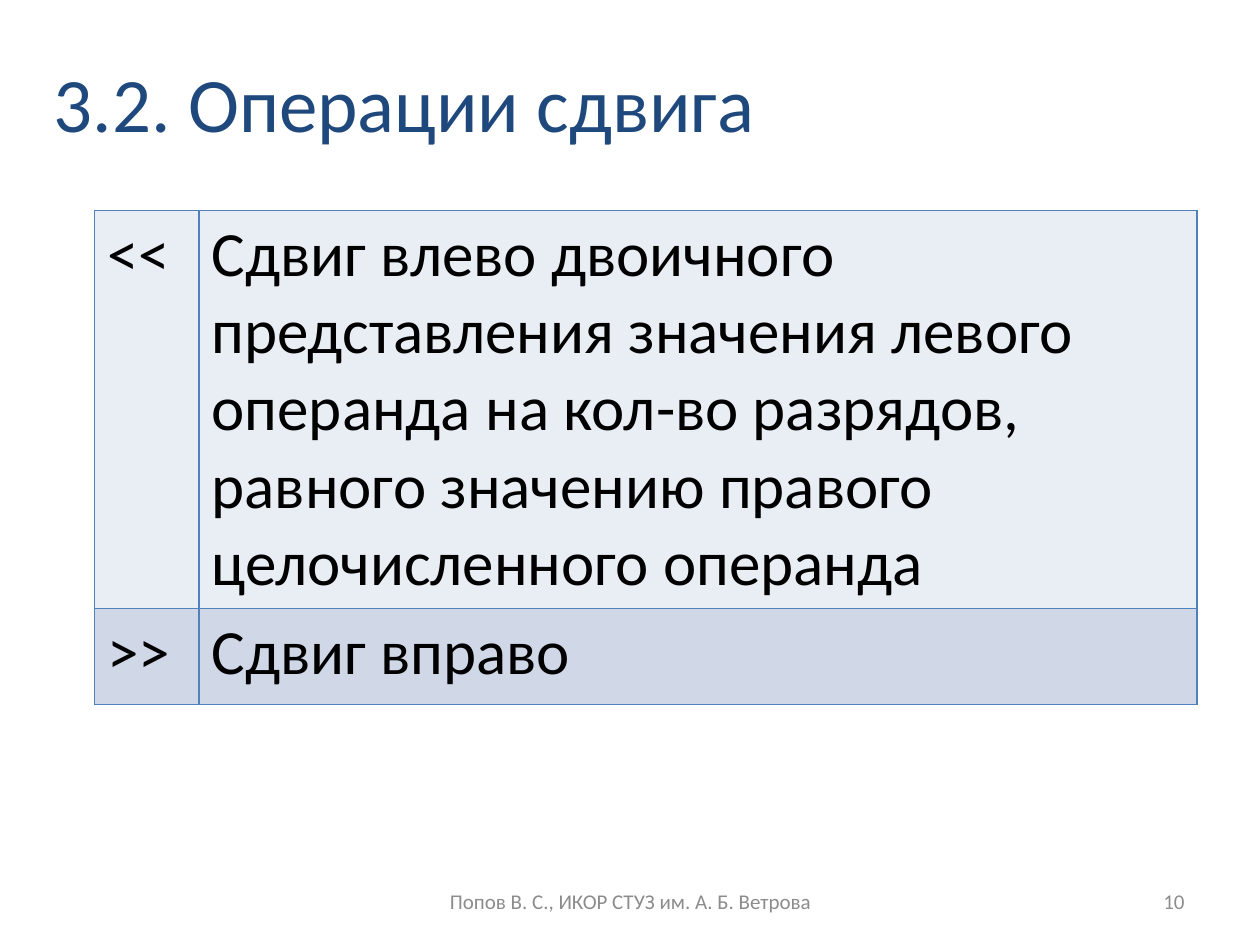
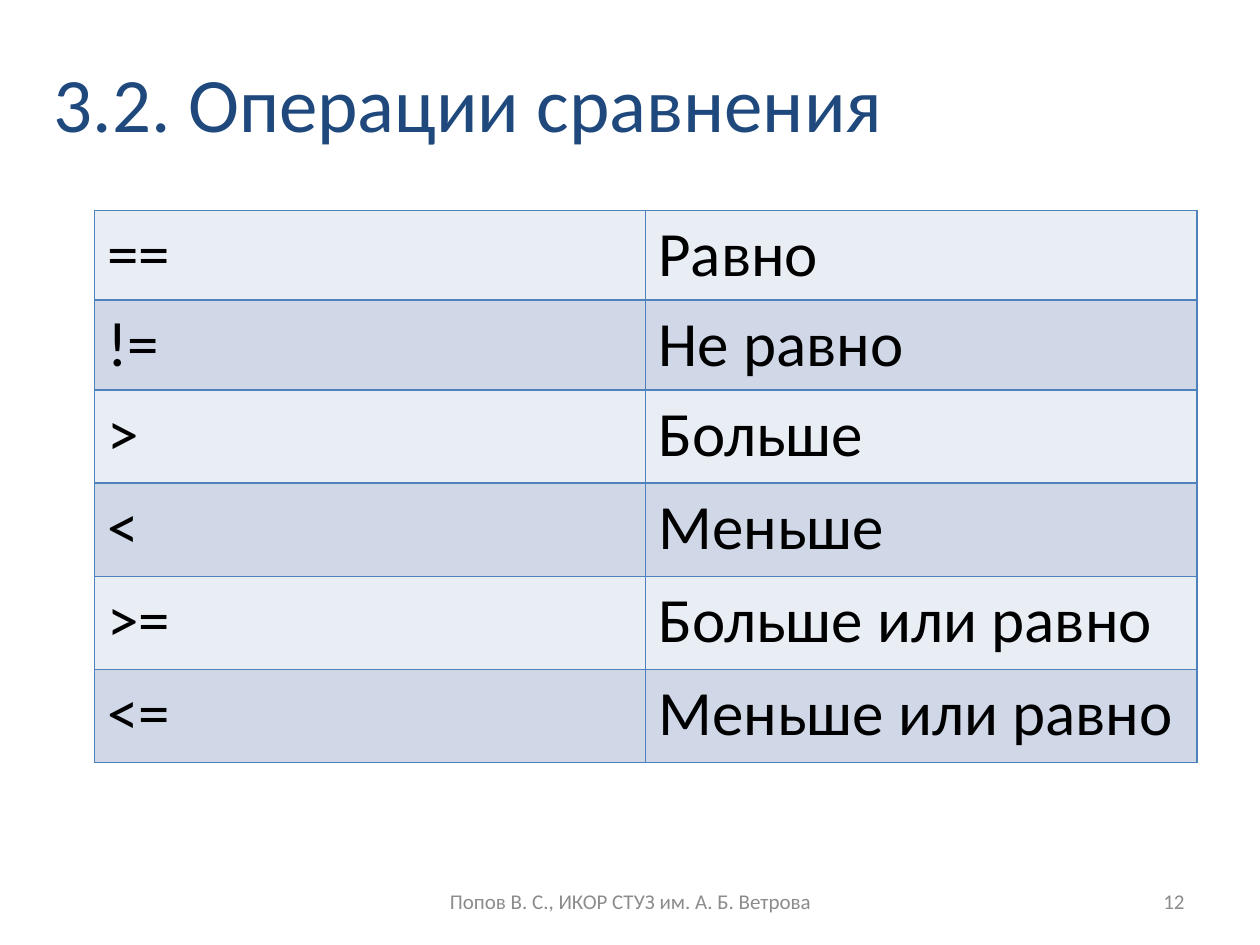
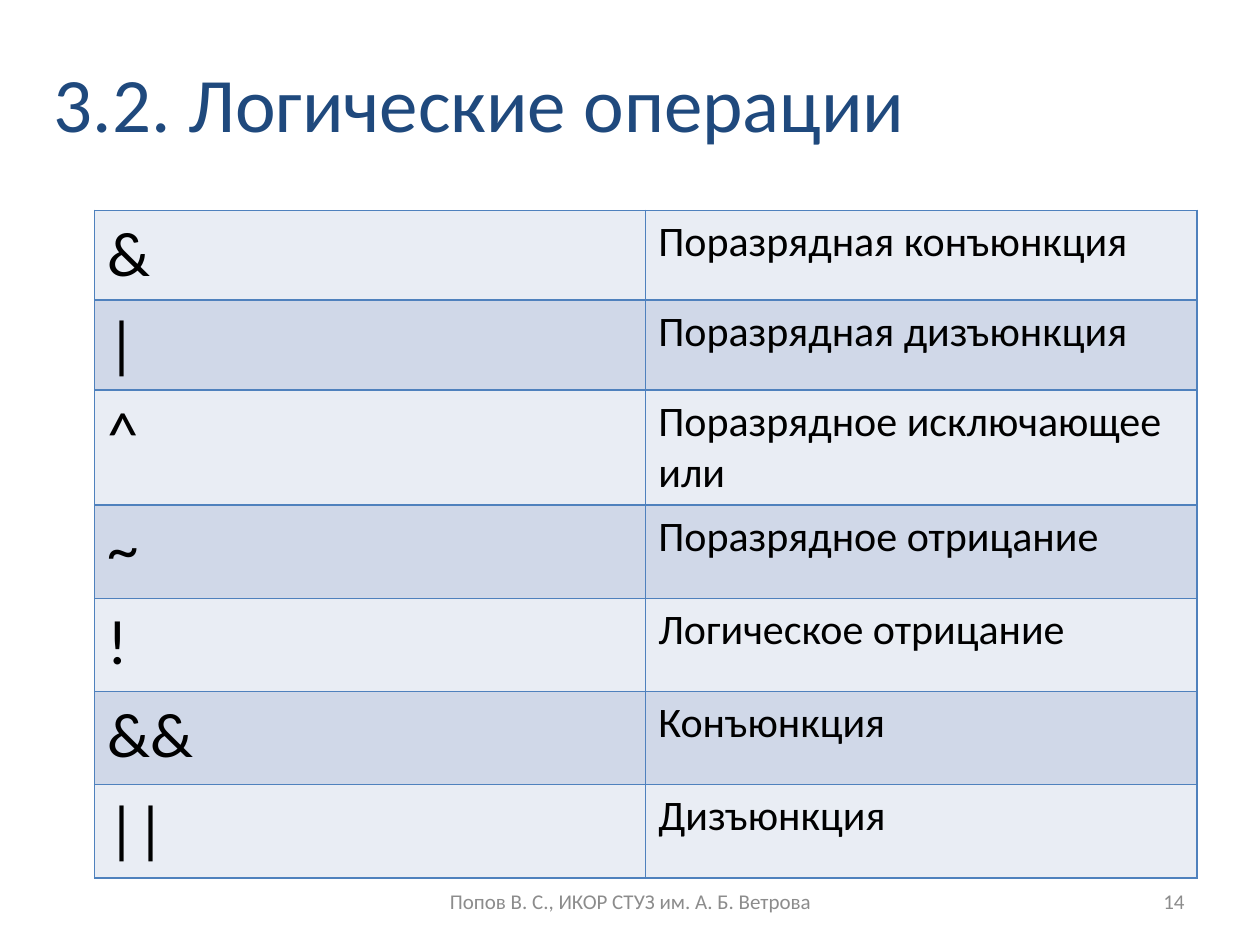
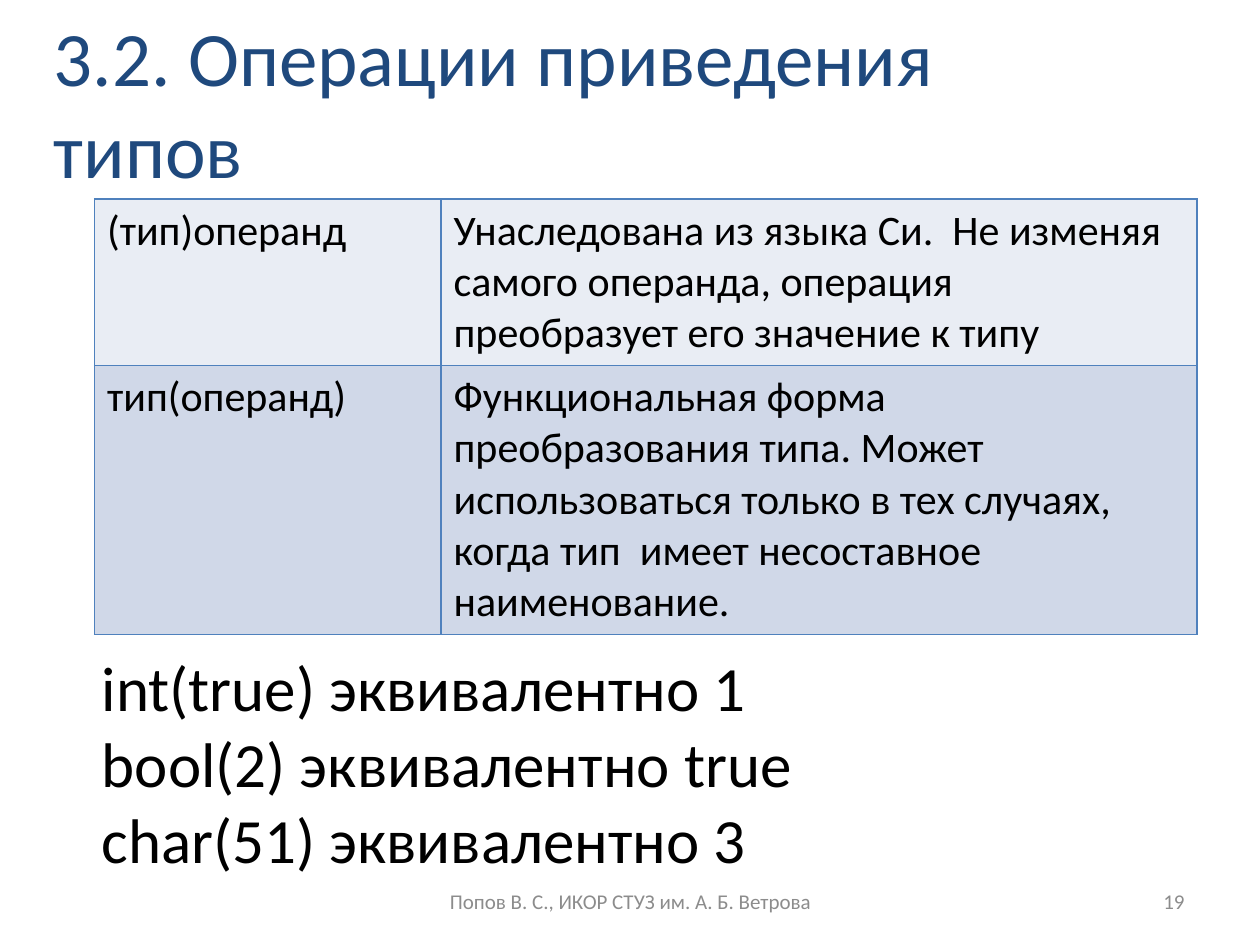
from dataclasses import dataclass

from lxml.etree import SubElement
from pptx import Presentation
from pptx.dml.color import RGBColor
from pptx.enum.text import MSO_ANCHOR, MSO_AUTO_SIZE, PP_ALIGN
from pptx.oxml.ns import qn
from pptx.util import Inches, Pt


@dataclass(frozen=True)
class Theme:
    font: str = "Calibri"
    navy: str = "1F497D"
    ink: str = "000000"
    gray: str = "8C8C8C"
    edge: str = "4F81BD"
    bands: tuple = ("E9EDF4", "D0D8E8")
    title: int = 44
    large: int = 36
    body: int = 24
    small: int = 12
    line: int = 1


T = Theme()
AUTHOR = "Попов В. С., ИКОР СТУЗ им. А. Б. Ветрова"
LEFT, WIDTH = 0.75, 8.75


def write(frame, text, size=T.large, color=T.ink, align=None, indent=0):
    frame.word_wrap = True
    for i, line in enumerate(text.split("\n")):
        para = frame.paragraphs[0] if i == 0 else frame.add_paragraph()
        if align is not None:
            para.alignment = align
        if indent:
            props = para._p.get_or_add_pPr()
            props.set("marL", str(Inches(indent)))
            props.set("indent", "0")
        run = para.add_run()
        run.text = line
        run.font.name = T.font
        run.font.size = Pt(size)
        run.font.color.rgb = RGBColor.from_string(color)


def add_text(slide, text, box, anchor=MSO_ANCHOR.MIDDLE, grow=False, **style):
    frame = slide.shapes.add_textbox(*map(Inches, box)).text_frame
    frame.vertical_anchor = anchor
    write(frame, text, **style)
    frame.auto_size = MSO_AUTO_SIZE.SHAPE_TO_FIT_TEXT if grow else MSO_AUTO_SIZE.NONE


def add_edges(cell):
    props = cell._tc.get_or_add_tcPr()
    for i, side in enumerate(("lnL", "lnR", "lnT", "lnB")):
        line = props.makeelement(qn(f"a:{side}"), {"w": str(Pt(T.line))})
        fill = SubElement(line, qn("a:solidFill"))
        SubElement(fill, qn("a:srgbClr"), val=T.edge)
        props.insert(i, line)


def add_grid(slide, data, cols, rows, height, top=1.67, sizes=(T.large, T.large)):
    box = map(Inches, (LEFT, top, WIDTH, height))
    shape = slide.shapes.add_table(len(data), len(cols), *box)
    table = shape.table
    table.first_row = False
    for col, width in zip(table.columns, cols):
        col.width = Inches(width)
    for row, high in zip(table.rows, rows):
        row.height = Inches(high)
    shape.height = Inches(height)
    for r, texts in enumerate(data):
        for c, text in enumerate(texts):
            cell = table.cell(r, c)
            cell.fill.solid()
            cell.fill.fore_color.rgb = RGBColor.from_string(T.bands[r % 2])
            add_edges(cell)
            write(cell.text_frame, text, size=sizes[c])


def add_page(deck, title, number):
    slide = deck.slides.add_slide(deck.slide_layouts[6])
    add_text(slide, title, (0.33, 0, 8.17, 1.61), size=T.title, color=T.navy)
    note = {"size": T.small, "color": T.gray}
    add_text(slide, str(number), (7.17, 6.95, 2.33, 0.4), align=PP_ALIGN.RIGHT, **note)
    add_text(slide, AUTHOR, (3.42, 6.95, 3.17, 0.4), align=PP_ALIGN.CENTER, **note)
    return slide


def main():
    deck = Presentation()
    deck.slide_width, deck.slide_height = Inches(10), Inches(7.5)
    halves = (WIDTH / 2, WIDTH / 2)

    shift = add_page(deck, "3.2. Операции сдвига", 10)
    add_grid(shift, [
        ("<<", "Сдвиг влево двоичного представления значения левого операнда "
               "на кол-во разрядов, равного значению правого целочисленного операнда"),
        (">>", "Сдвиг вправо"),
    ], (0.83, 7.92), [0.76] * 2, 3.86)

    compare = add_page(deck, "3.2. Операции сравнения", 12)
    add_grid(compare, [
        ("==", "Равно"),
        ("!=", "Не равно"),
        (">", "Больше"),
        ("<", "Меньше"),
        (">=", "Больше или равно"),
        ("<=", "Меньше или равно"),
    ], halves, [0.43] * 2 + [0.74] * 4, 4.35)

    logic = add_page(deck, "3.2. Логические операции", 14)
    add_grid(logic, [
        ("&", "Поразрядная конъюнкция"),
        ("|", "Поразрядная дизъюнкция"),
        ("^", "Поразрядное исключающее или"),
        ("~", "Поразрядное отрицание"),
        ("!", "Логическое отрицание"),
        ("&&", "Конъюнкция"),
        ("||", "Дизъюнкция"),
    ], halves, [0.43] * 2 + [0.74] * 5, 5.25, sizes=(T.large, T.body))

    cast = add_page(deck, "3.2. Операции приведения типов", 19)
    add_grid(cast, [
        ("(тип)операнд", "Унаследована из языка Си.  Не изменяя самого операнда, "
                         "операция преобразует его значение к типу"),
        ("тип(операнд)", "Функциональная форма преобразования типа. Может "
                         "использоваться только в тех случаях, когда тип  имеет "
                         "несоставное наименование."),
    ], (2.75, 6), [0.43] * 2, 3.4, top=1.58, sizes=(T.body, T.body))
    add_text(cast, "int(true) эквивалентно 1\nbool(2) эквивалентно true\n"
                   "char(51) эквивалентно 3", (0.33, 5.1, 9.33, 1.92),
             anchor=MSO_ANCHOR.TOP, grow=True, indent=0.38)

    deck.save("out.pptx")


main()
